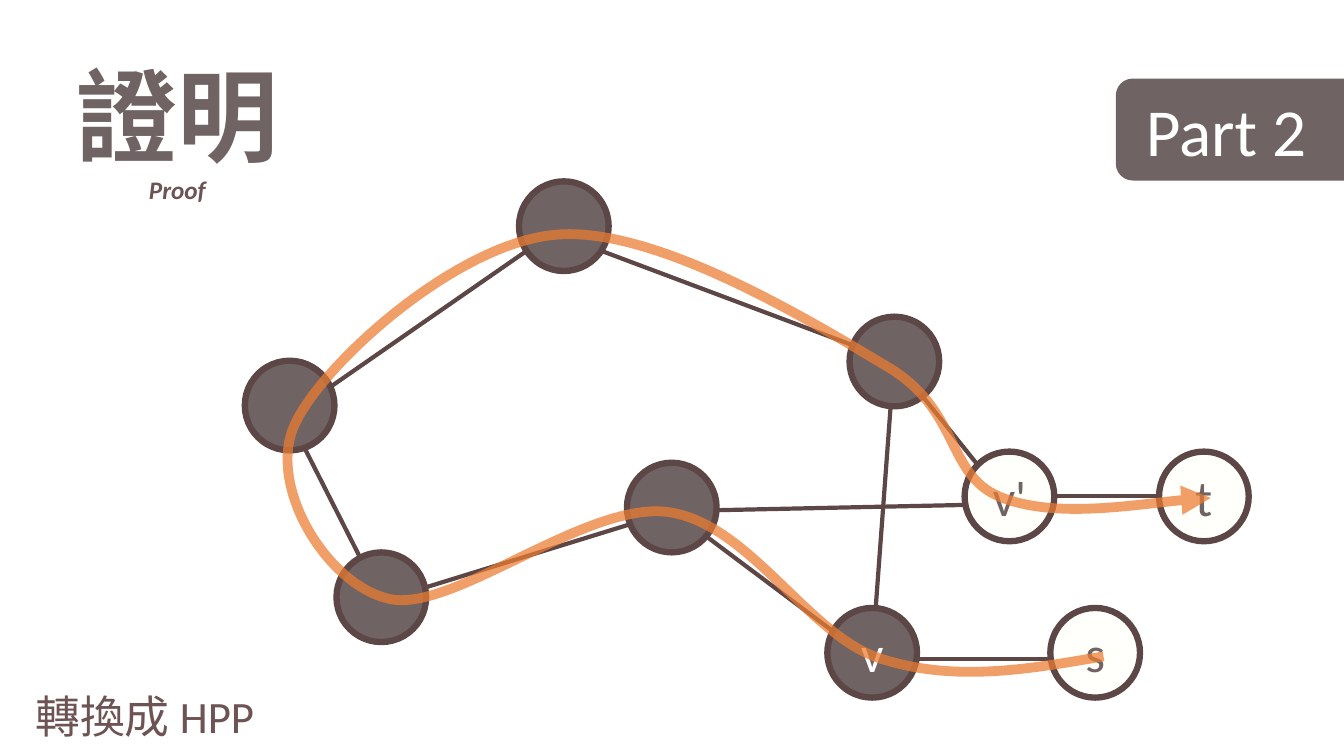
import pptx
import pptx.dml.color
import pptx.enum.shapes
import pptx.enum.text
import pptx.oxml.ns
import pptx.util
import lxml.etree

Cm = pptx.util.Cm
SHAPES = pptx.enum.shapes.MSO_SHAPE
ALIGN = pptx.enum.text.PP_ALIGN
ANCHOR = pptx.enum.text.MSO_ANCHOR
AUTO_SIZE = pptx.enum.text.MSO_AUTO_SIZE
qn = pptx.oxml.ns.qn

LATIN, CHINESE = "Calibri", "Noto Sans CJK TC"
GREY, BROWN, DARK = "706363", "6D5353", "5C4646"
WHITE, IVORY, ORANGE = "FFFFFF", "FFFFFB", "ED7C31"
DIAMETER = 2.26

NODES = [
    (2.48, 9.92, "", GREY), (0.17, 5.09, "", GREY), (7.08, 0.57, "", GREY),
    (15.41, 3.98, "", GREY), (14.85, 11.32, "v", GREY), (9.8, 7.66, "", GREY),
    (18.31, 7.38, "v'", IVORY), (23.21, 7.38, "t", IVORY), (20.47, 11.32, "s", IVORY),
]
RIGHT, PRIME, MIDDLE = (16.53, 5.09), (19.43, 8.7), (10.95, 8.88)
V, LOWER_LEFT = (15.97, 12.64), (3.63, 11.14)
EDGES = [
    ((19.43, 8.5), (24.43, 8.5)), ((16.1, 12.61), (21.08, 12.61)),
    (RIGHT, PRIME), (MIDDLE, PRIME), (RIGHT, V),
    ((1.95, 6.01), (7.49, 2.17)), (RIGHT, (8.22, 1.97)),
    ((1.32, 6.59), LOWER_LEFT), (LOWER_LEFT, MIDDLE), (V, MIDDLE),
]
ROUTE_BOX = (1.24, 1.89, 23.27, 11.05)
ROUTE_START = (21.81, 12.54)
ROUTE_CURVES = [
    ((19.91, 12.87), (18.03, 13.2), (16.17, 12.59)),
    ((14.35, 12), (12.87, 9.16), (10.81, 8.9)),
    ((8.73, 8.65), (5.38, 11.47), (3.8, 11.09)),
    ((2.23, 10.73), (0.73, 8.24), (1.42, 6.72)),
    ((2.1, 5.19), (5.48, 2.15), (7.97, 1.92)),
    ((10.46, 1.66), (14.45, 4.1), (16.33, 5.22)),
    ((18.21, 6.31), (17.83, 7.96), (19.2, 8.52)),
    ((20.57, 9.08), (23.59, 8.57), (24.51, 8.55)),
]


def color(value):
    return pptx.dml.color.RGBColor.from_string(value)


def write(frame, text, size, fill, font=LATIN, align=ALIGN.LEFT, spacing=None,
          bold=False, italic=False):
    paragraph = frame.paragraphs[0]
    if paragraph.runs:
        paragraph = frame.add_paragraph()
    paragraph.alignment = align
    if spacing:
        paragraph.line_spacing = spacing
    run = paragraph.add_run()
    run.text = text
    run.font.name = font
    run.font.size = pptx.util.Pt(size)
    run.font.bold = bold
    run.font.italic = italic
    run.font.color.rgb = color(fill)
    east_asian = lxml.etree.Element(qn("a:ea"), typeface=CHINESE)
    run.font._element.find(qn("a:latin")).addnext(east_asian)


def outline(line, fill, width):
    line.color.rgb = color(fill)
    line.width = pptx.util.Pt(width)


def add_box(slide, left, top, width, height, wrap):
    box = slide.shapes.add_textbox(Cm(left), Cm(top), Cm(width), Cm(height))
    box.text_frame.word_wrap = wrap
    box.text_frame.auto_size = AUTO_SIZE.SHAPE_TO_FIT_TEXT
    return box.text_frame


def add_title(slide, left, top, width, height):
    frame = add_box(slide, left, top, width, height, False)
    write(frame, "證明", 72, GREY, font=CHINESE, bold=True)
    write(frame, "Proof", 18, BROWN, align=ALIGN.CENTER, bold=True, italic=True)


def add_caption(slide, left, top, width, height):
    frame = add_box(slide, left, top, width, height, True)
    write(frame, "轉換成 HPP", 32, BROWN, spacing=1.5)


def add_filled(slide, kind, left, top, width, height, fill):
    shape = slide.shapes.add_shape(kind, Cm(left), Cm(top), Cm(width), Cm(height))
    shape.shadow.inherit = False
    shape.fill.solid()
    shape.fill.fore_color.rgb = color(fill)
    shape.text_frame.vertical_anchor = ANCHOR.MIDDLE
    return shape


def add_badge(slide, left, top, width, height):
    badge = add_filled(slide, SHAPES.ROUNDED_RECTANGLE, left, top, width, height, GREY)
    badge.line.fill.background()
    badge.text_frame.margin_left = Cm(0.63)
    write(badge.text_frame, "Part 2", 48, WHITE)


def add_edges(slide, left, top):
    for (x1, y1), (x2, y2) in EDGES:
        edge = slide.shapes.add_connector(
            pptx.enum.shapes.MSO_CONNECTOR.STRAIGHT,
            Cm(left + x1), Cm(top + y1), Cm(left + x2), Cm(top + y2))
        outline(edge.line, DARK, 3)
        lxml.etree.SubElement(edge._element.spPr, qn("a:effectLst"))


def add_nodes(slide, left, top):
    for x, y, label, fill in NODES:
        node = add_filled(slide, SHAPES.OVAL, left + x, top + y, DIAMETER, DIAMETER, fill)
        outline(node.line, DARK, 4.5)
        if label:
            write(node.text_frame, label, 36, WHITE if fill == GREY else GREY,
                  align=ALIGN.CENTER)


def add_route(slide, left, top):
    x, y, width, height = ROUTE_BOX
    builder = slide.shapes.build_freeform(Cm(ROUTE_START[0]), Cm(ROUTE_START[1]))
    builder.add_line_segments([(Cm(a), Cm(b)) for *_, (a, b) in ROUTE_CURVES], close=False)
    route = builder.convert_to_shape()
    route.left, route.top = Cm(left + x), Cm(top + y)
    route.width, route.height = Cm(width), Cm(height)
    outlines = route._element.spPr.find(".//" + qn("a:path"))
    outlines.set("w", str(Cm(width)))
    outlines.set("h", str(Cm(height)))
    for child in list(outlines):
        outlines.remove(child)
    steps = [("moveTo", [ROUTE_START])] + [("cubicBezTo", curve) for curve in ROUTE_CURVES]
    for tag, points in steps:
        step = lxml.etree.SubElement(outlines, qn("a:" + tag))
        for a, b in points:
            lxml.etree.SubElement(step, qn("a:pt"), x=str(Cm(a - x)), y=str(Cm(b - y)))
    route.shadow.inherit = False
    route.fill.background()
    outline(route.line, ORANGE, 7)
    line = route._element.spPr.find(qn("a:ln"))
    lxml.etree.SubElement(line.find(".//" + qn("a:srgbClr")), qn("a:alpha"), val="73000")
    lxml.etree.SubElement(line, qn("a:tailEnd"), type="triangle")


def main():
    presentation = pptx.Presentation()
    presentation.slide_width, presentation.slide_height = Cm(33.87), Cm(19.05)
    slide = presentation.slides.add_slide(presentation.slide_layouts[6])
    add_edges(slide, 6, 4)
    add_title(slide, 1.68, 1.22, 5.64, 4.11)
    add_badge(slide, 28.12, 1.98, 12.95, 2.57)
    add_nodes(slide, 6, 4)
    add_route(slide, 6, 4)
    add_caption(slide, 0.64, 16.56, 11.1, 2.08)
    presentation.save("out.pptx")


if __name__ == "__main__":
    main()
